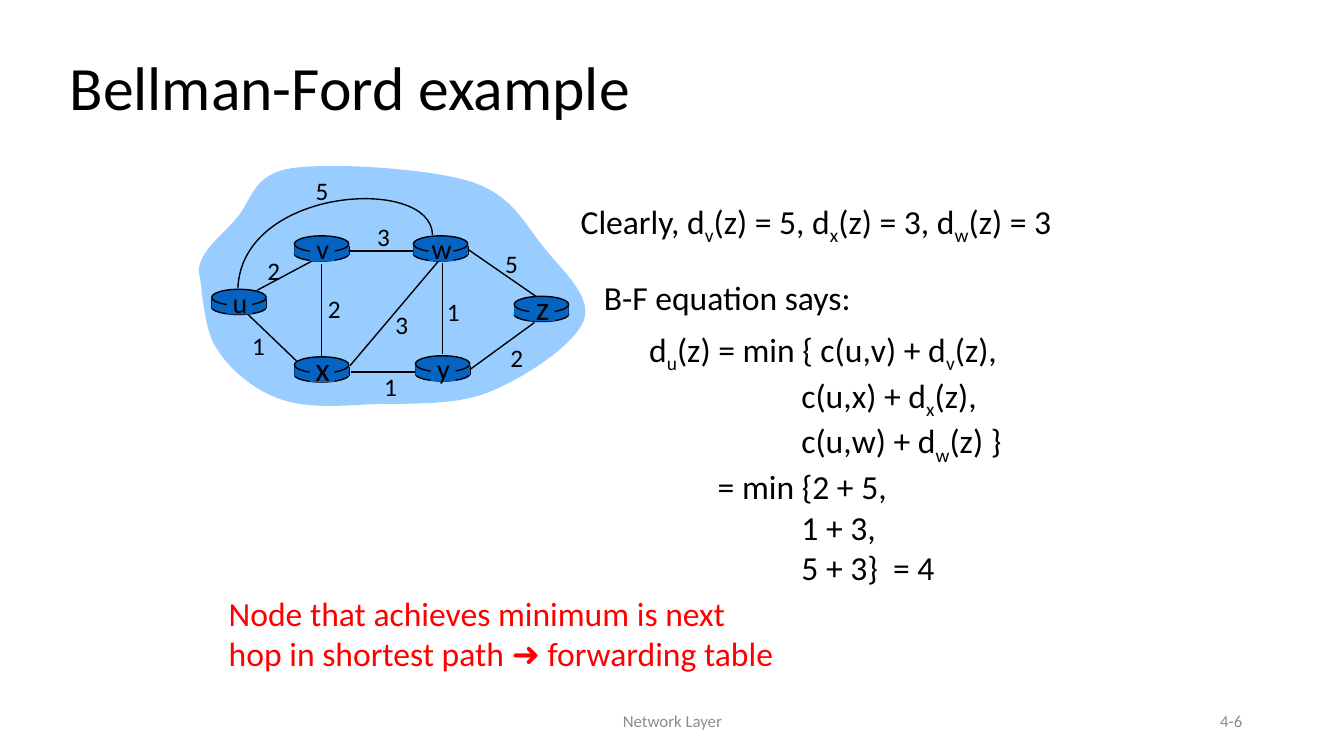
from pptx import Presentation
from pptx import util as u
from pptx.dml.color import RGBColor
from pptx.enum import shapes, text
from pptx.oxml import ns
from lxml import etree

FONT, ARROW_FONT = "Calibri", "Noto Sans CJK JP"
BLACK, RED, GREY = "000000", "FF0000", "8C8C8C"
CLOUD_BLUE, ROUTER_BLUE = "99CCFF", "0563C1"
LEFT, CENTER, RIGHT = text.PP_ALIGN.LEFT, text.PP_ALIGN.CENTER, text.PP_ALIGN.RIGHT
TOP, MIDDLE, BOTTOM = text.MSO_ANCHOR.TOP, text.MSO_ANCHOR.MIDDLE, text.MSO_ANCHOR.BOTTOM
OVAL, RECTANGLE = shapes.MSO_SHAPE.OVAL, shapes.MSO_SHAPE.RECTANGLE


def color(value):
    return RGBColor.from_string(value)


def add_run(paragraph, words, size=24, ink=BLACK, font=FONT, subscript=False):
    run = paragraph.add_run()
    run.text = words
    run.font.size = u.Pt(size)
    run.font.name = font
    run.font.color.rgb = color(ink)
    properties = run._r.get_or_add_rPr()
    if font != FONT:
        etree.SubElement(properties, ns.qn("a:ea")).set("typeface", font)
    if subscript:
        properties.set("baseline", "-25000")


def write(paragraph, words, align=LEFT, indent=0, **style):
    """Write words; the letter after each underscore becomes a subscript."""
    paragraph.alignment = align
    if indent:
        properties = paragraph._p.get_or_add_pPr()
        properties.set("marL", str(u.Inches(indent)))
        properties.set("indent", "0")
    first, *rest = words.split("_")
    before, arrow, after = first.partition("➜ ")
    add_run(paragraph, before, **style)
    if arrow:
        add_run(paragraph, arrow, font=ARROW_FONT, **style)
        add_run(paragraph, after, **style)
    for part in rest:
        add_run(paragraph, part[0], subscript=True, **style)
        add_run(paragraph, part[1:], **style)


class Board:
    """The current slide and its drawing style."""

    def __init__(self, slide, line_width=1):
        self.slide = slide
        self.canvas = slide.shapes
        self.line_width = u.Pt(line_width)

    def start_group(self):
        self.canvas = self.slide.shapes.add_group_shape().shapes

    def end_group(self):
        self.canvas = self.slide.shapes

    def title(self, words, left, top, width, height):
        title = self.slide.shapes.title
        title.left, title.top, title.width, title.height = map(
            u.Inches, (left, top, width, height))
        frame = title.text_frame
        frame.auto_size = text.MSO_AUTO_SIZE.NONE
        frame.vertical_anchor = MIDDLE
        frame.paragraphs[0].line_spacing = 0.9
        write(frame.paragraphs[0], words, size=44)

    def text(self, lines, left, top, width, height, anchor=TOP, inset=0.1, **style):
        """Lines are (indent, words) pairs."""
        box = self.canvas.add_textbox(*map(u.Inches, (left, top, width, height)))
        frame = box.text_frame
        frame.word_wrap = True
        frame.vertical_anchor = anchor
        frame.margin_left = frame.margin_right = u.Inches(inset)
        for number, (indent, words) in enumerate(lines):
            paragraph = frame.add_paragraph() if number else frame.paragraphs[0]
            write(paragraph, words, indent=indent, **style)

    def finish(self, shape, fill, outline):
        shape.shadow.inherit = False
        if fill:
            shape.fill.solid()
            shape.fill.fore_color.rgb = color(fill)
        else:
            shape.fill.background()
        if outline:
            shape.line.color.rgb = color(BLACK)
            shape.line.width = self.line_width
        else:
            shape.line.fill.background()

    def shape(self, preset, left, top, width, height, outline=False):
        shape = self.canvas.add_shape(
            preset, *map(u.Inches, (left, top, width, height)))
        self.finish(shape, ROUTER_BLUE, outline)

    def line(self, x1, y1, x2, y2):
        line = self.canvas.add_connector(
            shapes.MSO_CONNECTOR.STRAIGHT, *map(u.Inches, (x1, y1, x2, y2)))
        line.line.color.rgb = color(BLACK)
        line.line.width = self.line_width
        etree.SubElement(line._element.spPr, ns.qn("a:effectLst"))

    def curve(self, start, curves, fill=None):
        """Each curve is two control points and an end point."""
        builder = self.canvas.build_freeform(*map(u.Inches, start))
        builder.add_line_segments(
            [tuple(map(u.Inches, point)) for curve in curves for point in curve],
            close=bool(fill))
        shape = builder.convert_to_shape()
        # Turn every three line segments into one cubic curve
        segments = list(shape._element.iter(ns.qn("a:lnTo")))
        for first in range(0, len(segments), 3):
            cubic = etree.Element(ns.qn("a:cubicBezTo"))
            segments[first].addprevious(cubic)
            for segment in segments[first:first + 3]:
                cubic.append(segment[0])
                segment.getparent().remove(segment)
        self.finish(shape, fill, outline=not fill)

    def router(self, left, top, width=0.54):
        self.shape(OVAL, left, top + 0.11, width, 0.14, outline=True)
        for side in (left, left + width):
            self.line(side, top + 0.1, side, top + 0.19)
        self.shape(RECTANGLE, left, top + 0.1, width, 0.09)
        self.shape(OVAL, left, top, width, 0.16, outline=True)

    def router_name(self, name, left, top, size):
        height = 0.51 if size > 20 else 0.49
        self.shape(RECTANGLE, left + 0.15, top + 0.02, 0.25, 0.23)
        self.text([(0, name)], left + 0.08, top - 0.15, 0.4, height,
                  anchor=BOTTOM, inset=0, size=size, align=CENTER)


def main():
    deck = Presentation()
    deck.slide_width, deck.slide_height = u.Inches(13.33), u.Inches(7.5)
    board = Board(deck.slides.add_slide(deck.slide_layouts[5]))

    # Title and footer
    board.title("Bellman-Ford example", 0.59, 0.17, 11.5, 1.45)
    footer = dict(anchor=MIDDLE, size=12, ink=GREY)
    board.text([(0, "Network Layer")], 4.42, 6.95, 4.5, 0.4, align=CENTER, **footer)
    board.text([(0, "4-6")], 9.42, 6.95, 3, 0.4, align=RIGHT, **footer)

    # Network cloud
    board.start_group()
    board.curve((1.97, 2.69), [
        ((1.98, 2.49), (2.2, 2.34), (2.35, 2.16)),
        ((2.5, 1.99), (2.5, 1.73), (2.89, 1.67)),
        ((3.27, 1.61), (4.24, 1.67), (4.66, 1.8)),
        ((5.08, 1.93), (5.2, 2.22), (5.39, 2.45)),
        ((5.57, 2.68), (5.88, 2.94), (5.79, 3.18)),
        ((5.7, 3.42), (5.2, 3.75), (4.85, 3.89)),
        ((4.5, 4.03), (4.04, 4), (3.69, 4.01)),
        ((3.35, 4.03), (3.03, 4.05), (2.78, 3.96)),
        ((2.52, 3.87), (2.28, 3.67), (2.15, 3.46)),
        ((2.01, 3.25), (2.01, 2.85), (1.97, 2.69)),
    ], fill=CLOUD_BLUE)

    # Links: end points, then cost and the place of its label
    links = [
        ((2.55, 2.88, 3.15, 2.56), "2", 2.55, 2.48),
        ((3.19, 2.62, 3.19, 3.55), "2", 3.15, 2.86),
        ((2.94, 3.58, 2.46, 3.12), "1", 2.4, 3.23),
        ((3.47, 3.63, 4.35, 2.59), "3", 3.82, 3.02),
        ((4.12, 3.69, 3.48, 3.69), "1", 3.71, 3.63),
        ((4.39, 2.61, 4.39, 3.51), "1", 4.33, 2.89),
        ((4.67, 3.66, 5.3, 3.2), "2", 4.96, 3.35),
        ((5.33, 2.95, 4.65, 2.48), "5", 4.91, 2.41),
        ((4.11, 2.49, 3.47, 2.49), "3", 3.64, 2.15),
    ]
    for ends, *_ in links:
        board.line(*ends)

    # Routers
    routers = [("u", 2.1, 2.87, 20), ("x", 2.92, 3.54, 24), ("v", 2.92, 2.34, 20),
               ("w", 4.1, 2.34, 20), ("y", 4.12, 3.53, 20), ("z", 5.1, 2.94, 24)]
    for _, left, top, _ in routers:
        board.router(left, top)
    board.curve((4.29, 2.33), [((4.28, 1.74), (2.4, 1.85), (2.36, 2.86))])
    for router in routers:
        board.router_name(*router)

    # Link costs, the last one for the arc
    for *_, cost, left, top in [*links, ("5", 3.03, 1.69)]:
        board.text([(0, cost)], left, top, 0.33, 0.4, inset=0, size=18, align=CENTER)
    board.end_group()

    # Equations
    board.text([(0, "Clearly, d_v(z) = 5, d_x(z) = 3, d_w(z) = 3")], 5.66, 1.94, 4.98, 0.5)
    board.text([(0, "B-F equation says:")], 5.89, 2.7, 2.7, 0.5)
    min_indent, term_indent = 0.68, 1.51
    board.text([
        (0, "d_u(z) = min { c(u,v) + d_v(z),"),
        (term_indent, "c(u,x) + d_x(z),"),
        (term_indent, "c(u,w) + d_w(z) }"),
        (min_indent, "= min {2 + 5,"),
        (term_indent, "1 + 3,"),
        (term_indent, "5 + 3}  = 4"),
    ], 6.34, 3.21, 3.75, 2.52)

    # Conclusion
    board.text([
        (0, "Node that achieves minimum is next"),
        (0, "hop in shortest path ➜ forwarding table"),
    ], 2.17, 5.83, 5.82, 0.91, ink=RED)

    deck.save("out.pptx")


if __name__ == "__main__":
    main()
